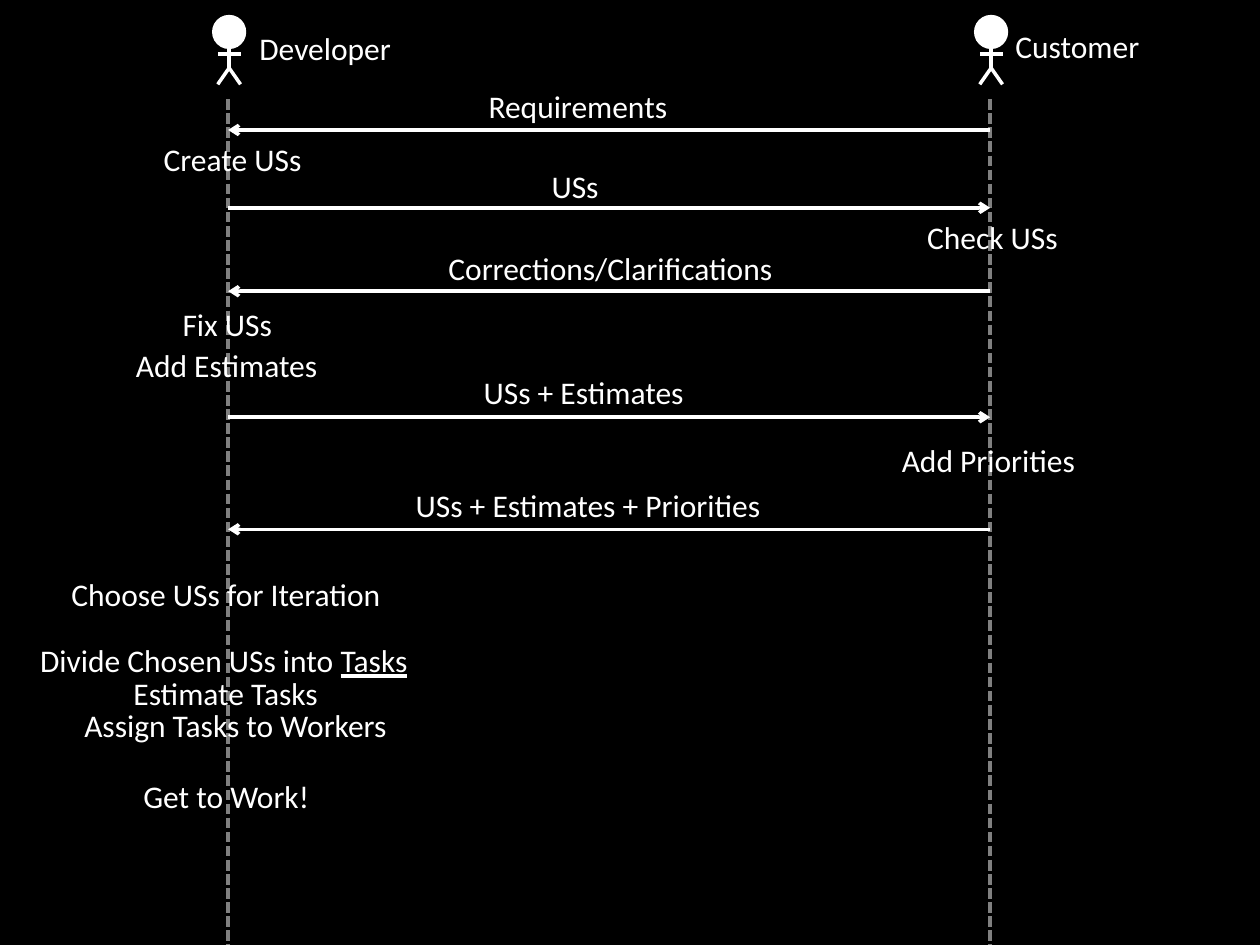
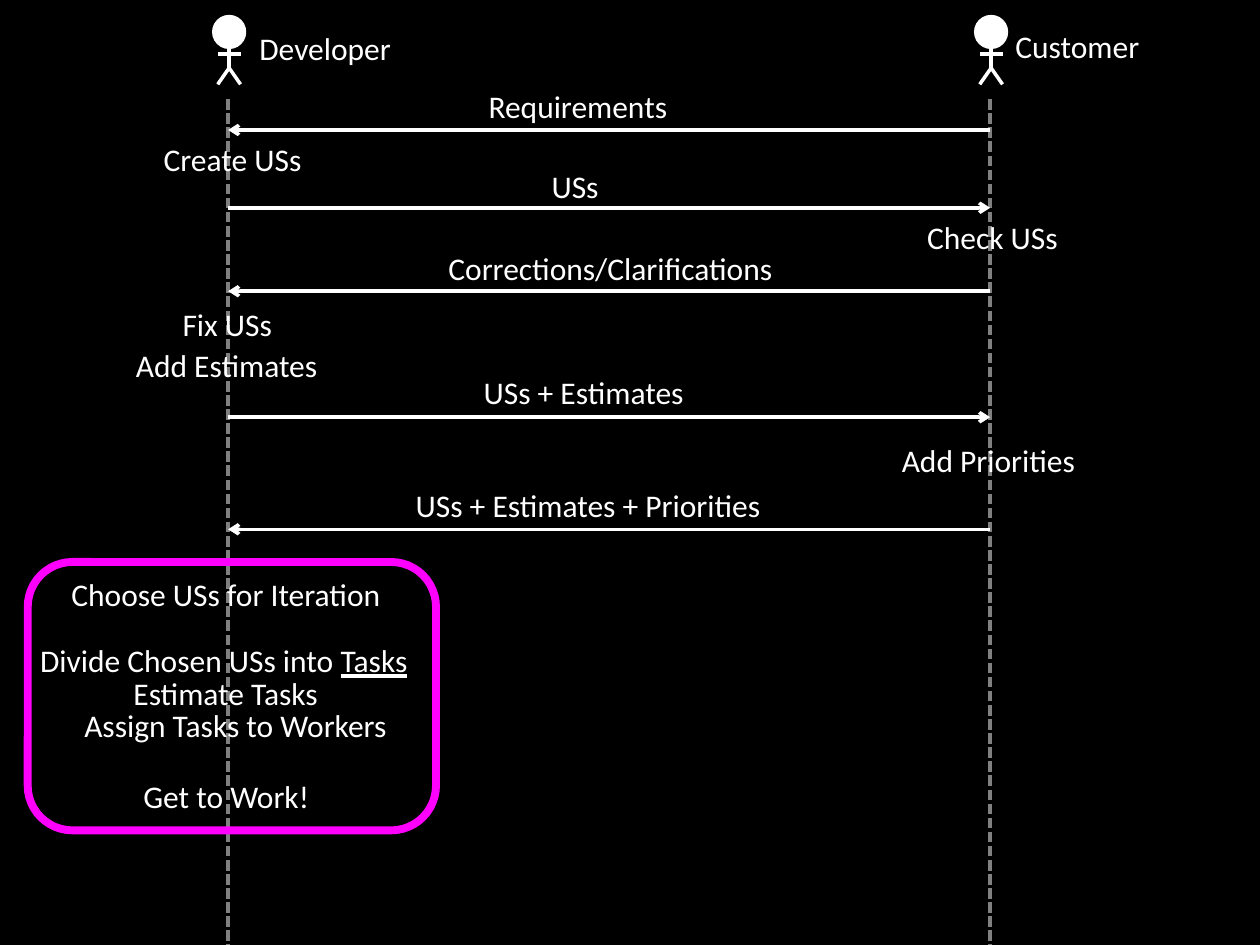
import dataclasses
import typing

import lxml.etree
import pptx
import pptx.dml.color
import pptx.enum.dml
import pptx.enum.shapes
import pptx.enum.text
import pptx.oxml.ns
import pptx.util

Cm = pptx.util.Cm
Pt = pptx.util.Pt
Color = pptx.dml.color.RGBColor


@dataclasses.dataclass(frozen=True)
class Theme:
    background: Color = Color(0x00, 0x00, 0x00)
    ink: Color = Color(0xFF, 0xFF, 0xFF)
    lifeline: Color = Color(0x80, 0x80, 0x80)
    highlight: Color = Color(0xFF, 0x00, 0xFF)
    font: str = "Calibri"
    text_size: float = 18
    stroke: float = 2
    frame_stroke: float = 4.5


class Box(typing.NamedTuple):
    left: float
    top: float
    width: float
    height: float

    @property
    def right(self):
        return self.left + self.width

    @property
    def bottom(self):
        return self.top + self.height


THEME = Theme()
LABEL_HEIGHT = 1.02
DIAGRAM = Box(4.6, 2, 15.36, 17.05)
ITERATION = Box(0.56, 11.33, 8.23, 5.41)
HEAD_SIZE = 0.69
HEAD_TOP = 0.3

ACTORS = [
    ("Developer", DIAGRAM.left, 0.38, 0.46, 3.2),
    ("Customer", DIAGRAM.right, 0.26, 0.43, 3.05),
]
MESSAGES = [
    ("Requirements", 5.0, -0.37, 4.19, 0.62, False),
    ("USs", 6.27, 1.25, 1.47, 2.19, True),
    ("Corrections/Clarifications", 4.19, 2.9, 7.14, 3.87, False),
    ("USs + Estimates", 4.9, 5.39, 4.6, 6.41, True),
    ("USs + Estimates + Priorities", 3.53, 7.68, 7.57, 8.67, False),
]
ACTIVITIES = [
    ("Create USs", -1.55, 0.69, 3.35),
    ("Check USs", 13.84, 2.27, 3.18),
    ("Fix USs", -1.17, 4.02, 2.34),
    ("Add Estimates", -2.11, 4.86, 4.22),
    ("Add Priorities", 13.33, 6.76, 4.04),
]
ITERATION_STEPS = [
    ("Choose USs for Iteration", "", 0.63, 0.13, 6.86),
    ("Divide Chosen USs into ", "Tasks", 0, 1.47, 8.08),
    ("Estimate Tasks", "", 1.88, 2.13, 4.37),
    ("Assign Tasks to Workers", "", 0.89, 2.77, 6.78),
    ("Get to Work!", "", 2.08, 4.21, 3.94),
]


def add_label(slide, wording, left, top, width, underlined=""):
    label = slide.shapes.add_textbox(Cm(left), Cm(top), Cm(width), Cm(LABEL_HEIGHT))
    frame = label.text_frame
    frame.word_wrap = False
    frame.auto_size = pptx.enum.text.MSO_AUTO_SIZE.SHAPE_TO_FIT_TEXT
    paragraph = frame.paragraphs[0]
    paragraph.text = wording
    if underlined:
        term = paragraph.add_run()
        term.text = underlined
        term.font.underline = True
    for run in paragraph.runs:
        run.font.name = THEME.font
        run.font.size = Pt(THEME.text_size)
        run.font.color.rgb = THEME.ink


def add_line(slide, start, end, color=THEME.ink, dashed=False, arrow=False):
    line = slide.shapes.add_connector(
        pptx.enum.shapes.MSO_CONNECTOR.STRAIGHT, *map(Cm, start + end))
    line.line.color.rgb = color
    line.line.width = Pt(THEME.stroke)
    if dashed:
        line.line.dash_style = pptx.enum.dml.MSO_LINE.SQUARE_DOT
    properties = line._element.spPr
    qn = pptx.oxml.ns.qn
    if arrow:
        lxml.etree.SubElement(properties.find(qn("a:ln")), qn("a:tailEnd"), type="arrow")
    lxml.etree.SubElement(properties, qn("a:effectLst"))


def add_actor(slide, name, axis, label_gap, label_top, label_width):
    head = Box(axis + 0.02 - HEAD_SIZE / 2, HEAD_TOP, HEAD_SIZE, HEAD_SIZE)
    center = axis + 0.02
    hip = head.top + 1.07
    add_label(slide, name, axis + label_gap, label_top, label_width)
    face = slide.shapes.add_shape(
        pptx.enum.shapes.MSO_SHAPE.OVAL, *map(Cm, head))
    face.shadow.inherit = False
    face.fill.solid()
    face.fill.fore_color.rgb = THEME.ink
    face.line.fill.background()
    add_line(slide, (center, head.bottom - 0.02), (center, hip + 0.05))
    for reach in (-0.23, 0.23):
        add_line(slide, (center, hip), (center + reach, hip + 0.33))
    add_line(slide, (center + 0.23, head.top + 0.79), (center - 0.23, head.top + 0.79))


def add_lifelines(slide, box):
    for axis in (box.right, box.left):
        add_line(slide, (axis, box.top), (axis, box.bottom), THEME.lifeline, dashed=True)


def add_exchange(slide, box):
    for wording, left, top, width, arrow_top, to_customer in MESSAGES:
        add_label(slide, wording, box.left + left, box.top + top, width)
        start, end = (box.left, box.right) if to_customer else (box.right, box.left)
        height = box.top + arrow_top
        add_line(slide, (start, height), (end, height), arrow=True)
    for wording, left, top, width in ACTIVITIES:
        add_label(slide, wording, box.left + left, box.top + top, width)


def add_iteration(slide, box, highlighted):
    if highlighted:
        outline = slide.shapes.add_shape(
            pptx.enum.shapes.MSO_SHAPE.ROUNDED_RECTANGLE, *map(Cm, box))
        outline.shadow.inherit = False
        outline.fill.background()
        outline.line.color.rgb = THEME.highlight
        outline.line.width = Pt(THEME.frame_stroke)
    for wording, underlined, left, top, width in ITERATION_STEPS:
        add_label(slide, wording, box.left + left, box.top + top, width, underlined)


def add_planning_slide(deck, highlighted):
    slide = deck.slides.add_slide(deck.slide_layouts.get_by_name("Blank"))
    add_lifelines(slide, DIAGRAM)
    for actor in ACTORS:
        add_actor(slide, *actor)
    add_exchange(slide, DIAGRAM)
    add_iteration(slide, ITERATION, highlighted)


def main():
    deck = pptx.Presentation()
    deck.slide_width = Cm(25.4)
    deck.slide_height = Cm(19.05)
    backdrop = deck.slide_master.background.fill
    backdrop.solid()
    backdrop.fore_color.rgb = THEME.background
    for highlighted in (False, True):
        add_planning_slide(deck, highlighted)
    deck.save("out.pptx")


if __name__ == "__main__":
    main()
